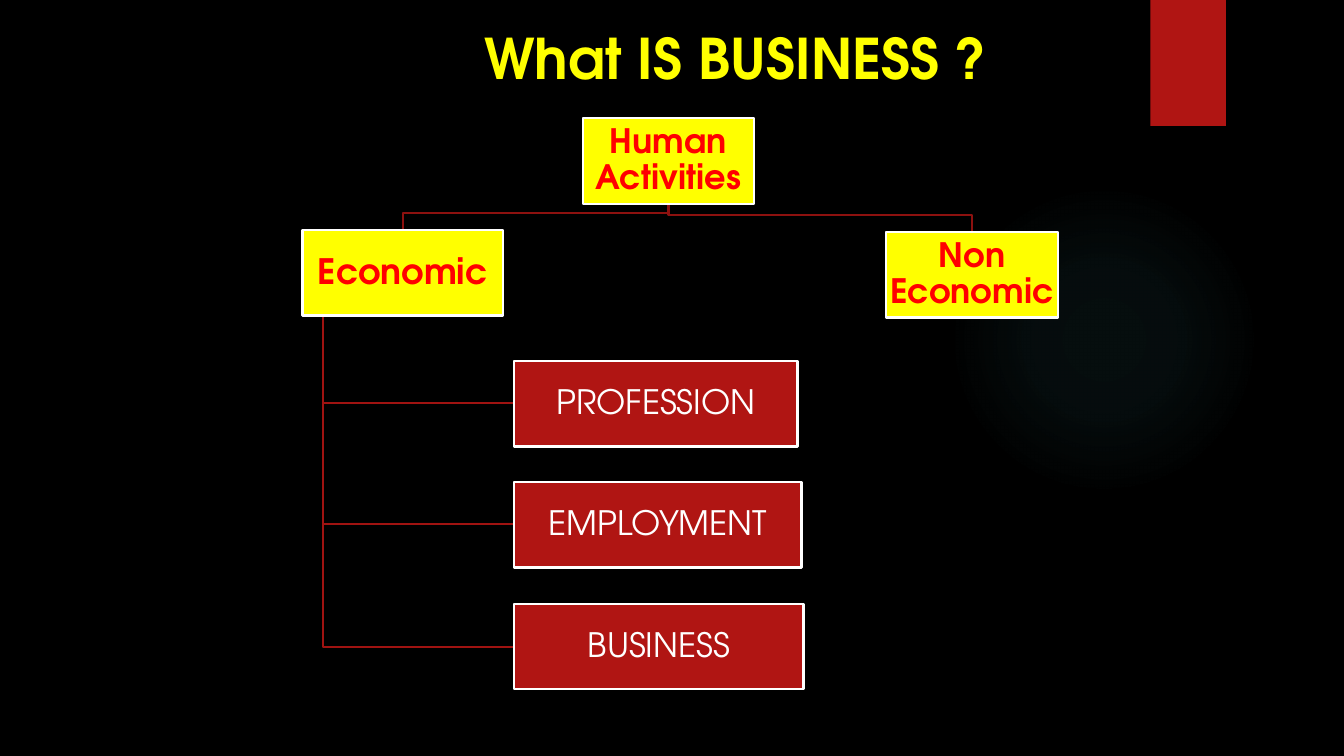
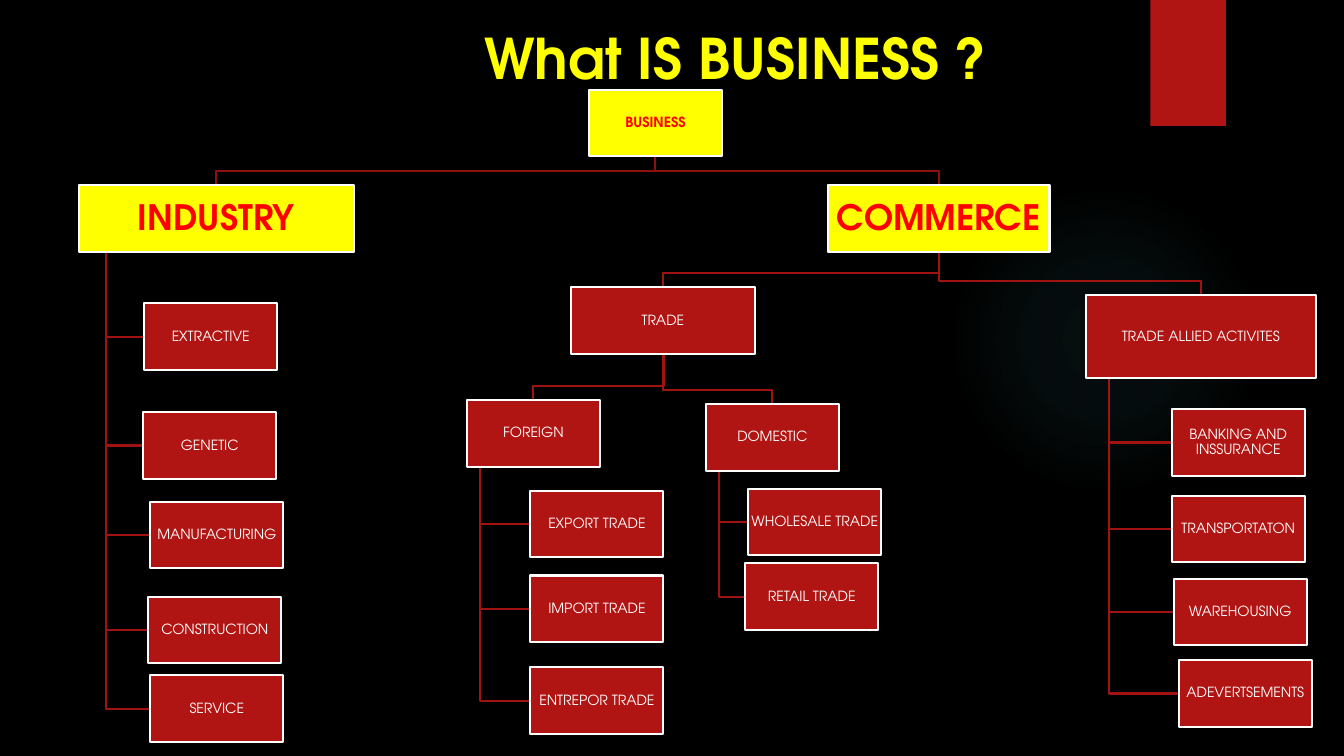
"""Build two slides that chart what business is as trees of boxes."""
from collections import namedtuple
from dataclasses import dataclass

from pptx import Presentation
from pptx import util as u
from pptx.dml.color import RGBColor
from pptx.enum import shapes, text
from pptx.oxml import parse_xml
from pptx.oxml.ns import nsdecls

PX = 9144


@dataclass(frozen=True)
class Theme:
    font: str = "TeX Gyre Adventor"
    back: str = "000000"
    yellow: str = "FFFF00"
    red: str = "FF0000"
    brand: str = "B01513"
    white: str = "FFFFFF"
    glow: str = "50B9C1"
    root_link: str = "8D110F"
    link: str = "A01311"
    title: int = 40
    head: int = 25
    body: int = 24
    small: int = 10
    line: float = 1.5


T = Theme()
Node = namedtuple("Node", "label x y w h size strong parent link")

activities = [
    Node("Human Activities", 578, 117, 170, 85, T.body, True, None, None),
    Node("Economic", 300, 228, 199, 85, T.head, True, "Human Activities", "tee"),
    Node("Non Economic", 879, 230, 170, 85, T.body, True, "Human Activities", "tee"),
    Node("PROFESSION", 510, 358, 281, 85, T.body, False, "Economic", "side"),
    Node("EMPLOYMENT", 510, 478, 285, 85, T.body, False, "Economic", "side"),
    Node("BUSINESS", 510, 599, 287, 85, T.body, False, "Economic", "side"),
]

branches = [
    Node("BUSINESS", 584, 89, 132, 66, T.small, True, None, None),
    Node("INDUSTRY", 78, 184, 273, 66, T.head, True, "BUSINESS", "tee"),
    Node("COMMERCE", 821, 184, 220, 66, T.head, True, "BUSINESS", "tee"),
    Node("TRADE", 566, 285, 183, 66, T.small, False, "COMMERCE", "tee"),
    Node("TRADE ALLIED ACTIVITES", 1077, 293, 228, 82, T.small, False, "COMMERCE", "tee"),
    Node("FOREIGN", 463, 397, 132, 66, T.small, False, "TRADE", "tee"),
    Node("DOMESTIC", 700, 401, 132, 66, T.small, False, "TRADE", "tee"),
]
leaves = {
    "INDUSTRY": [("EXTRACTIVE", 143, 301), ("GENETIC", 142, 409),
                 ("MANUFACTURING", 149, 498), ("CONSTRUCTION", 147, 592),
                 ("SERVICE", 149, 670)],
    "FOREIGN": [("EXPORT TRADE", 526, 487), ("IMPORT TRADE", 526, 571),
                ("ENTREPOR TRADE", 526, 662)],
    "DOMESTIC": [("WHOLESALE TRADE", 742, 485), ("RETAIL TRADE", 739, 559)],
    "TRADE ALLIED ACTIVITES": [("BANKING AND INSSURANCE", 1162, 406),
                               ("TRANSPORTATON", 1162, 492),
                               ("WAREHOUSING", 1164, 574),
                               ("ADEVERTSEMENTS", 1169, 655)],
}
for parent, items in leaves.items():
    for label, x, y in items:
        branches.append(Node(label, x, y, 132, 66, T.small, False, parent, "side"))


def add_box(s, kind, x, y, w, h, fill):
    """Add a preset shape with a plain fill and no line or shadow."""
    sp = s.shapes.add_shape(kind, x * PX, y * PX, w * PX, h * PX)
    sp.shadow.inherit = False
    sp.fill.solid()
    sp.fill.fore_color.rgb = RGBColor.from_string(fill)
    sp.line.fill.background()
    return sp


def format_text(tf, size, color, bold):
    """Centre the text of a frame and set its font."""
    tf.word_wrap = True
    tf.auto_size = text.MSO_AUTO_SIZE.NONE
    tf.vertical_anchor = text.MSO_ANCHOR.MIDDLE
    p = tf.paragraphs[0]
    p.alignment = text.PP_ALIGN.CENTER
    f = p.runs[0].font
    f.name, f.size, f.bold = T.font, u.Pt(size), bold
    f.color.rgb = RGBColor.from_string(color)


prs = Presentation()
prs.slide_width, prs.slide_height = 1333 * PX, 750 * PX
back = prs.slide_master.background.fill
back.solid()
back.fore_color.rgb = RGBColor.from_string(T.back)

for nodes, drop in ((activities, 17), (branches, 14)):
    s = prs.slides.add_slide(prs.slide_layouts[5])

    glow = add_box(s, shapes.MSO_SHAPE.OVAL, 941, 183, 308, 308, T.glow)
    stops = "".join(
        f'<a:gs pos="{pos * 1000}"><a:srgbClr val="{T.glow}">'
        f'<a:alpha val="{alpha * 1000}"/></a:srgbClr></a:gs>'
        for pos, alpha in ((0, 7), (36, 6), (69, 0)))
    gradient = parse_xml(
        f'<a:gradFill {nsdecls("a")}><a:gsLst>{stops}</a:gsLst><a:path path="circle">'
        '<a:fillToRect l="50000" t="50000" r="50000" b="50000"/></a:path></a:gradFill>')
    pr = glow.element.spPr
    pr.replace(pr.solidFill, gradient)
    add_box(s, shapes.MSO_SHAPE.RECTANGLE, 1141, 0, 75, 125, T.brand)

    title = s.shapes.title
    title.left, title.top, title.width, title.height = (
        v * PX for v in (112, 14, 1235, 85))
    title.text_frame.text = "What IS BUSINESS ?"
    format_text(title.text_frame, T.title, T.yellow, True)

    by_label = {n.label: n for n in nodes}
    for n in nodes:
        if n.parent is None:
            continue
        up = by_label[n.parent]
        bottom = up.y + up.h
        if n.link == "tee":
            start, end = up.x + up.w / 2, n.x + n.w / 2
            points = [(start, n.y - drop), (end, n.y - drop), (end, n.y)]
        else:
            start, middle = up.x + up.w / 10, n.y + n.h / 2
            points = [(start, middle), (n.x, middle)]
        fb = s.shapes.build_freeform(start, bottom, scale=PX)
        fb.add_line_segments(points, close=False)
        sp = fb.convert_to_shape()
        sp.shadow.inherit = False
        sp.fill.background()
        sp.line.width = u.Pt(T.line)
        sp.line.color.rgb = RGBColor.from_string(
            T.root_link if up.parent is None else T.link)

    for n in nodes:
        sp = add_box(s, shapes.MSO_SHAPE.RECTANGLE, n.x, n.y, n.w, n.h,
                     T.yellow if n.strong else T.brand)
        sp.line.width = u.Pt(T.line)
        sp.line.color.rgb = RGBColor.from_string(T.white)
        tf = sp.text_frame
        tf.margin_left = tf.margin_right = tf.margin_top = tf.margin_bottom = (
            PX if n.size == T.small else 2 * PX)
        tf.text = n.label
        tf.paragraphs[0].line_spacing = 0.9
        format_text(tf, n.size, T.red if n.strong else T.white, n.strong)

prs.save("out.pptx")
